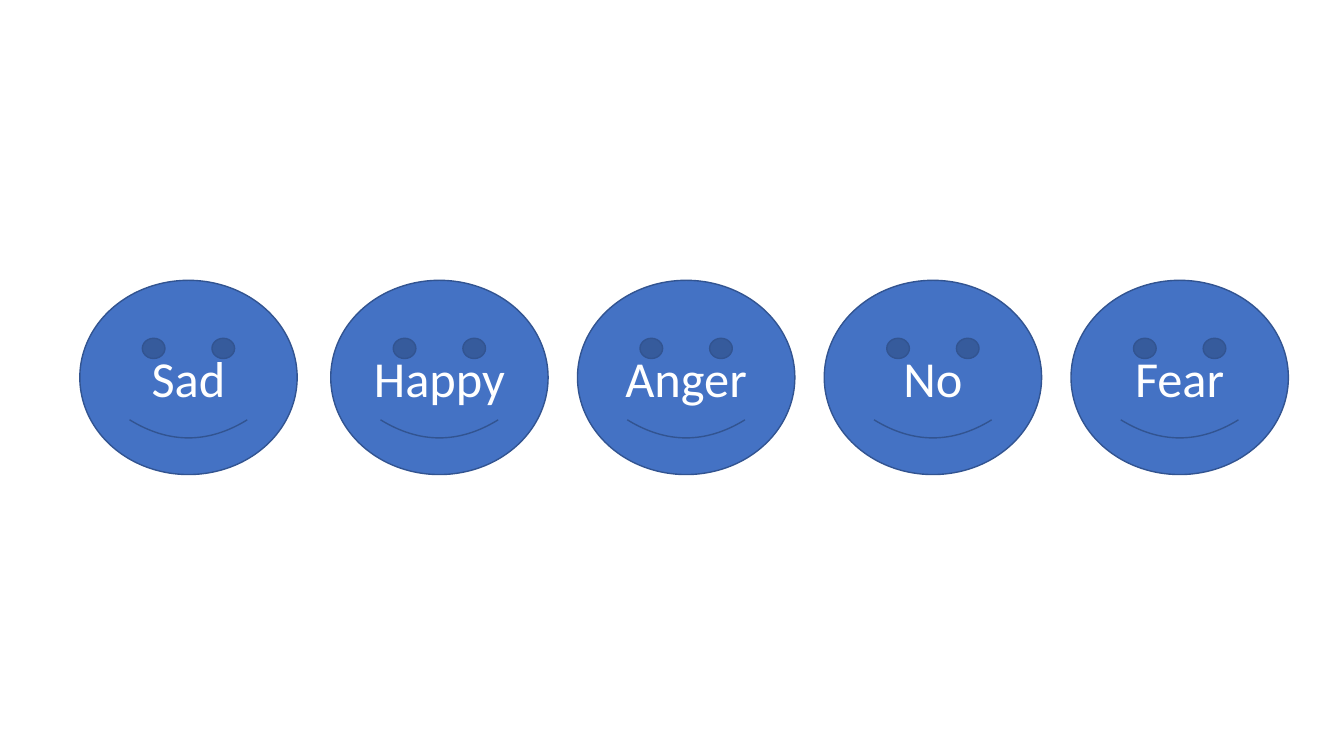
from dataclasses import dataclass

from pptx import Presentation
from pptx.dml.color import RGBColor
from pptx.enum.shapes import MSO_SHAPE
from pptx.enum.text import MSO_ANCHOR, PP_ALIGN
from pptx.shapes.autoshape import Shape
from pptx.slide import Slide
from pptx.util import Emu, Pt

SMILEY = MSO_SHAPE.SMILEY_FACE
MIDDLE = MSO_ANCHOR.MIDDLE
CENTER = PP_ALIGN.CENTER

SCALE = 9525
TOP, WIDTH, HEIGHT = 267, 207, 185
FIRST, SECOND, STEP = 76, 315, 235
BLUE, NAVY, WHITE = "4472C4", "325491", "FFFFFF"


@dataclass(frozen=True)
class Mood:
    label: str
    left: int


def px(count: int) -> Emu:
    return Emu(count * SCALE)


def color(code: str) -> RGBColor:
    return RGBColor.from_string(code)


def put_text(shape: Shape, text: str, *, size: int, font: str, ink: str) -> None:
    frame = shape.text_frame
    frame.word_wrap = True
    frame.vertical_anchor = MIDDLE
    line = frame.paragraphs[0]
    line.alignment = CENTER
    run = line.add_run()
    run.text = text
    run.font.size = Pt(size)
    run.font.name = font
    run.font.color.rgb = color(ink)


def draw_mood(slide: Slide, mood: Mood) -> None:
    face = slide.shapes.add_shape(
        SMILEY, px(mood.left), px(TOP), px(WIDTH), px(HEIGHT)
    )
    face.shadow.inherit = False
    face.fill.solid()
    face.fill.fore_color.rgb = color(BLUE)
    face.line.color.rgb = color(NAVY)
    face.line.width = Pt(1)
    put_text(face, mood.label, size=36, font="Calibri", ink=WHITE)


def main() -> None:
    deck = Presentation()
    deck.slide_width, deck.slide_height = px(1280), px(720)
    slide = deck.slides.add_slide(deck.slide_layouts[6])
    others = ("Happy", "Anger", "No", "Fear")
    moods = [Mood("Sad", FIRST)]
    moods += [Mood(label, SECOND + i * STEP) for i, label in enumerate(others)]
    for mood in moods:
        draw_mood(slide, mood)
    deck.save("out.pptx")


if __name__ == "__main__":
    main()
